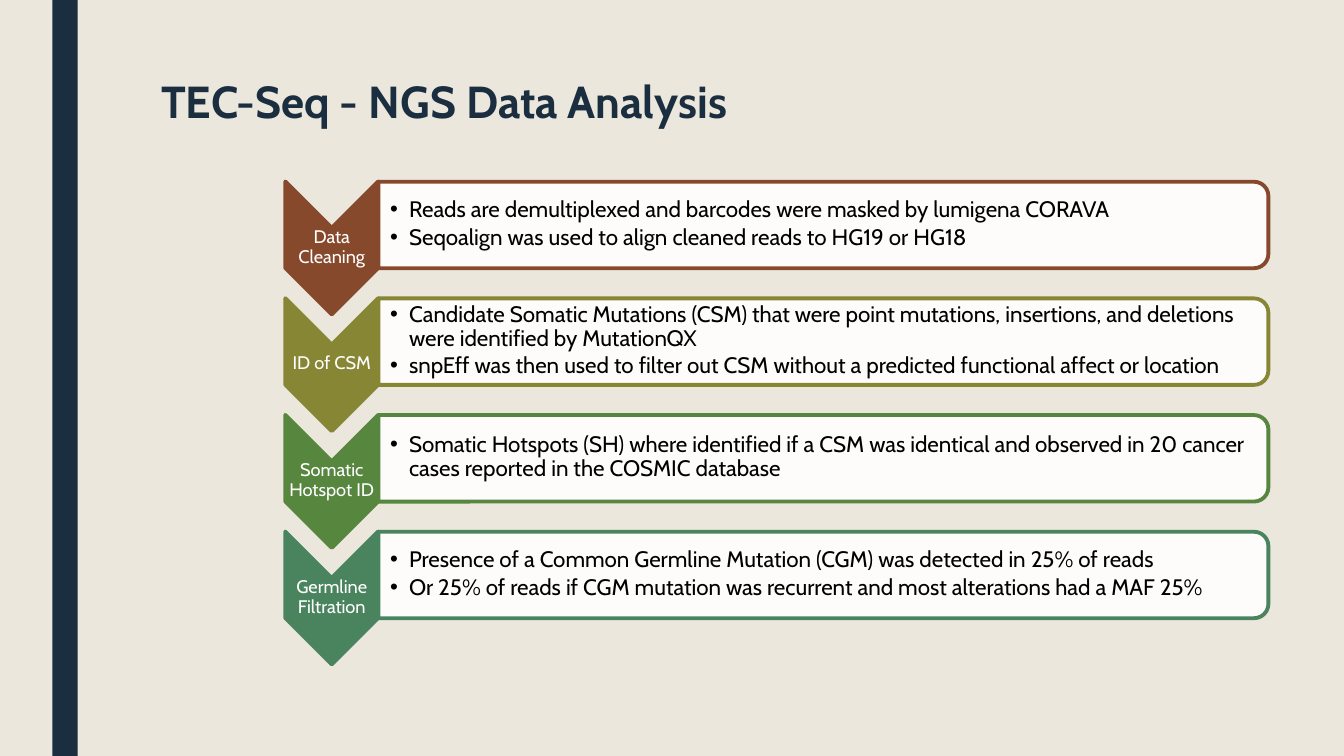
from dataclasses import dataclass

from lxml import etree
from pptx import Presentation
from pptx.dml.color import RGBColor
from pptx.enum.shapes import MSO_SHAPE
from pptx.enum.text import MSO_ANCHOR, MSO_AUTO_SIZE, PP_ALIGN
from pptx.oxml.ns import qn
from pptx.util import Cm, Pt

CHEVRON = MSO_SHAPE.CHEVRON
PANEL = MSO_SHAPE.ROUND_2_SAME_RECTANGLE
RECTANGLE = MSO_SHAPE.RECTANGLE
TOP, MIDDLE = MSO_ANCHOR.TOP, MSO_ANCHOR.MIDDLE
LEFT, CENTER = PP_ALIGN.LEFT, PP_ALIGN.CENTER

FONT = "Cabin"
NAVY, SAND, WHITE, BLACK = "1A2E40", "EBE7DD", "FFFFFF", "000000"
SLIDE_WIDTH, SLIDE_HEIGHT = 33.87, 19.05
STEP_PITCH = 2.94
BULLET_INDENT = 0.48


@dataclass(frozen=True)
class Step:
    label: str
    color: str
    points: tuple[str, ...]


STEPS = (
    Step("Data Cleaning", "87492C", (
        "Reads are demultiplexed and barcodes were masked by lumigena CORAVA",
        "Seqoalign was used to align cleaned reads to HG19 or HG18",
    )),
    Step("ID of CSM", "878635", (
        "Candidate Somatic Mutations (CSM) that were point mutations, insertions, "
        "and deletions were identified by MutationQX",
        "snpEff was then used to filter out CSM without a predicted functional "
        "affect or location",
    )),
    Step("Somatic Hotspot ID", "57863F", (
        "Somatic Hotspots (SH) where identified if a CSM was identical and observed "
        "in 20 cancer cases reported in the COSMIC database",
    )),
    Step("Germline Filtration", "4A845E", (
        "Presence of a Common Germline Mutation (CGM) was detected in 25% of reads",
        "Or 25% of reads if CGM mutation was recurrent and most alterations had a "
        "MAF 25%",
    )),
)


def rgb(color: str) -> RGBColor:
    return RGBColor.from_string(color)


def place(shape, left: float, top: float, width: float, height: float) -> None:
    shape.left, shape.top = Cm(left), Cm(top)
    shape.width, shape.height = Cm(width), Cm(height)


def add_bullet(paragraph) -> None:
    properties = paragraph._p.get_or_add_pPr()
    properties.set("marL", str(Cm(BULLET_INDENT)))
    properties.set("indent", str(-Cm(BULLET_INDENT)))
    etree.SubElement(properties, qn("a:buFont"), typeface="Arial")
    etree.SubElement(properties, qn("a:buChar"), char="•")


def write(shape, *lines: str, size: float, color: str, bold: bool = False,
          align=LEFT, anchor=MIDDLE, spacing: float = 0.9, space_after: float = 0,
          bullets: bool = False, insets=(0.03, 0.03, 0.03, 0.03)) -> None:
    """Fill a shape with one formatted paragraph per line; insets are l, t, r, b in cm."""
    frame = shape.text_frame
    frame.word_wrap = True
    frame.auto_size = MSO_AUTO_SIZE.NONE
    frame.vertical_anchor = anchor
    (frame.margin_left, frame.margin_top,
     frame.margin_right, frame.margin_bottom) = map(Cm, insets)
    for index, line in enumerate(lines):
        paragraph = frame.add_paragraph() if index else frame.paragraphs[0]
        if bullets:
            add_bullet(paragraph)
        paragraph.alignment = align
        paragraph.line_spacing = spacing
        paragraph.space_before = Pt(0)
        paragraph.space_after = Pt(space_after)
        run = paragraph.add_run()
        run.text = line
        run.font.name, run.font.size, run.font.bold = FONT, Pt(size), bold
        run.font.color.rgb = rgb(color)


def add_block(slide, preset, left: float, top: float, width: float, height: float,
              fill: str, line: str | None = None, alpha: int = 100):
    block = slide.shapes.add_shape(preset, Cm(left), Cm(top), Cm(width), Cm(height))
    block.shadow.inherit = False
    block.fill.solid()
    block.fill.fore_color.rgb = rgb(fill)
    if alpha < 100:
        fill_color = block._element.spPr.find(qn("a:solidFill"))[0]
        etree.SubElement(fill_color, qn("a:alpha"), val=str(alpha * 1000))
    if line:
        block.line.color.rgb = rgb(line)
        block.line.width = Pt(2.75)
    else:
        block.line.fill.background()
    return block


def add_turned_block(slide, preset, center_x: float, center_y: float,
                     width: float, height: float, **style) -> None:
    """Draw a block turned a quarter clockwise; width and height are before turning."""
    block = add_block(slide, preset, center_x - width / 2, center_y - height / 2,
                      width, height, **style)
    block.rotation = 90


def add_text_box(slide, left: float, top: float, width: float, height: float):
    return slide.shapes.add_textbox(Cm(left), Cm(top), Cm(width), Cm(height))


def add_step(slide, step: Step, offset: float) -> None:
    add_turned_block(slide, CHEVRON, 8.36, 6.25 + offset, 3.35, 2.34,
                     fill=step.color, line=step.color)
    label = add_text_box(slide, 7.19, 5.74 + offset, 2.34, 0.99)
    write(label, step.label, size=13, color=WHITE, align=CENTER)

    add_turned_block(slide, PANEL, 20.75, 5.67 + offset, 2.18, 22.43,
                     fill=WHITE, line=step.color, alpha=90)
    points = add_text_box(slide, 9.53, 4.67 + offset, 22.33, 1.96)
    write(points, *step.points, size=16, color=BLACK, bullets=True,
          space_after=2.4, insets=(0.3, 0.03, 0.03, 0.03))


def main() -> None:
    deck = Presentation()
    deck.slide_width, deck.slide_height = Cm(SLIDE_WIDTH), Cm(SLIDE_HEIGHT)
    slide = deck.slides.add_slide(deck.slide_layouts[5])
    slide.background.fill.solid()
    slide.background.fill.fore_color.rgb = rgb(SAND)

    add_block(slide, RECTANGLE, 1.32, 0, 0.64, SLIDE_HEIGHT, fill=NAVY)
    title = slide.shapes.title
    place(title, 3.81, 1.9, 26.67, 2.06)
    write(title, "TEC-Seq - NGS Data Analysis", size=32, color=NAVY, bold=True,
          anchor=TOP, spacing=0.89, insets=(0.25, 0.13, 0.25, 0.13))
    for row, step in enumerate(STEPS):
        add_step(slide, step, row * STEP_PITCH)
    deck.save("out.pptx")


if __name__ == "__main__":
    main()
